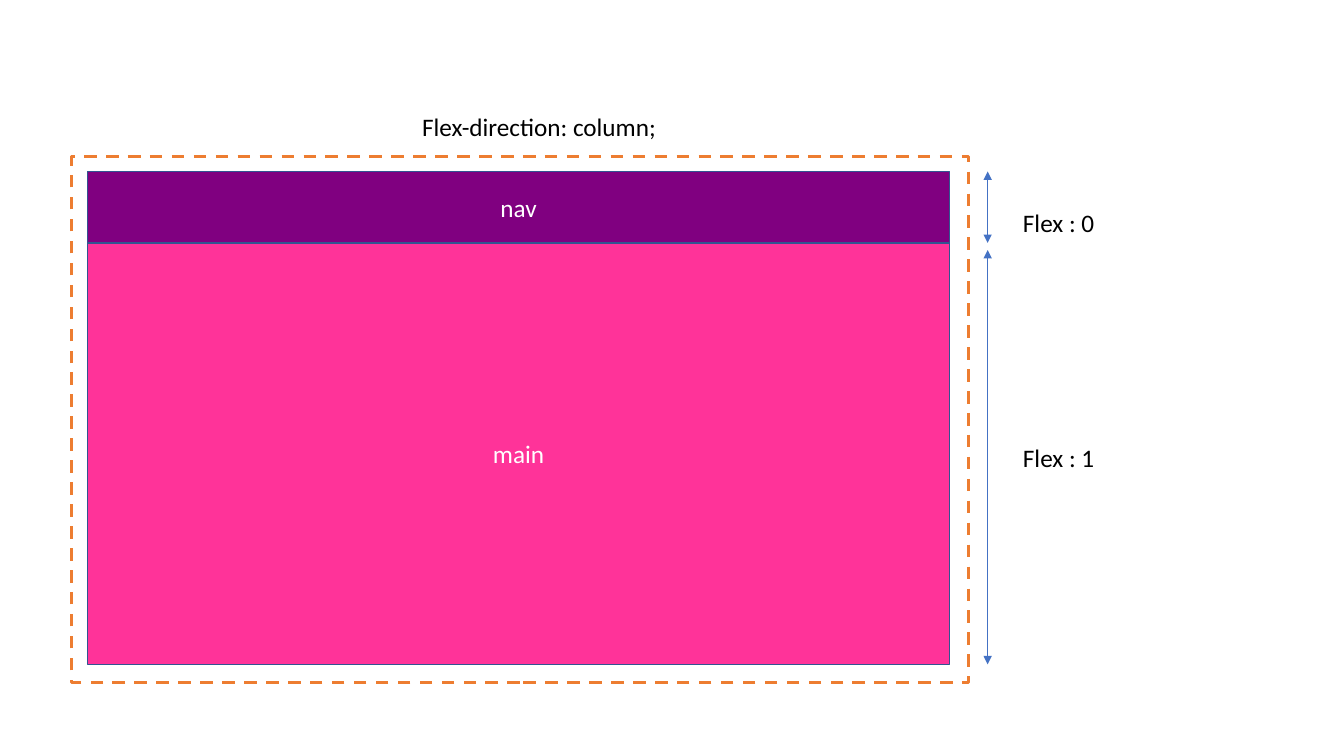
"""Draw a flex column layout with its nav and main areas."""
from lxml import etree
from pptx import Presentation
from pptx.dml.color import RGBColor
from pptx.enum import dml, shapes, text
from pptx.oxml import ns
from pptx.util import Cm, Pt

COLORS = {
    "nav": "800080",
    "main": "FF3399",
    "edge": "325491",
    "container": "ED7D31",
    "arrow": "4472C4",
    "light": "FFFFFF",
    "dark": "000000",
}
FONT = "Calibri"


def color(name):
    """Return the named colour."""
    return RGBColor.from_string(COLORS[name])


def write(sp, words, ink):
    """Put one line of formatted text into a shape."""
    sp.text_frame.text = words
    p = sp.text_frame.paragraphs[0]
    r = p.runs[0]
    r.font.name, r.font.size = FONT, Pt(18)
    r.font.color.rgb = color(ink)
    return p


def add_label(s, words, x, y, w):
    """Add a text box whose top left corner is at x, y."""
    sp = s.shapes.add_textbox(Cm(x), Cm(y), Cm(w), Cm(1.02))
    sp.text_frame.word_wrap = True
    sp.text_frame.auto_size = text.MSO_AUTO_SIZE.SHAPE_TO_FIT_TEXT
    write(sp, words, "dark")


def add_rect(s, x, y, w, h, edge, weight):
    """Add an unfilled outlined rectangle."""
    sp = s.shapes.add_shape(shapes.MSO_SHAPE.RECTANGLE, Cm(x), Cm(y), Cm(w), Cm(h))
    sp.shadow.inherit = False
    sp.fill.background()
    sp.line.color.rgb = color(edge)
    sp.line.width = Pt(weight)
    return sp


def add_area(s, name, x, y, w, h):
    """Add a filled area carrying its own name."""
    sp = add_rect(s, x, y, w, h, "edge", 1)
    sp.fill.solid()
    sp.fill.fore_color.rgb = color(name)
    sp.text_frame.vertical_anchor = text.MSO_ANCHOR.MIDDLE
    write(sp, name, "light").alignment = text.PP_ALIGN.CENTER


def add_extent(s, x, top, bottom):
    """Add a vertical arrow with a head at both ends."""
    c = s.shapes.add_connector(
        shapes.MSO_CONNECTOR.STRAIGHT, Cm(x), Cm(top), Cm(x), Cm(bottom))
    c.line.color.rgb = color("arrow")
    c.line.width = Pt(0.5)
    ln = c.line._get_or_add_ln()
    for end in ("a:headEnd", "a:tailEnd"):
        etree.SubElement(ln, ns.qn(end), type="triangle")
    etree.SubElement(c._element.spPr, ns.qn("a:effectLst"))


def add_column(s, x, y, w, h):
    """Add the dashed container with its areas and heading."""
    left, top, width = x + 0.41, y + 0.38, w - 0.89
    nav_h, main_h = 1.8, h - 2.64
    add_area(s, "main", left, top + nav_h, width, main_h)
    add_area(s, "nav", left, top, width, nav_h)
    add_label(s, "Flex-direction: column;", x + 8.59, y - 1.27, 7.19)
    sp = add_rect(s, x, y, w, h, "container", 2.25)
    sp.line.dash_style = dml.MSO_LINE.DASH


def add_extents(s, x, y, h):
    """Add the arrows and flex values beside the areas."""
    nav_bottom = y + 1.8
    add_extent(s, x, y, nav_bottom)
    add_extent(s, x, nav_bottom + 0.18, y + h)
    for flex, offset in enumerate((0.79, 6.7)):
        add_label(s, f"Flex : {flex}", x + 0.64, y + offset, 3.56)


def main():
    """Build and save the slide."""
    prs = Presentation()
    prs.slide_width, prs.slide_height = Cm(33.87), Cm(19.05)
    s = prs.slides.add_slide(prs.slide_layouts[6])
    add_column(s, 1.8, 3.94, 22.61, 13.26)
    add_extents(s, 24.89, 4.32, 12.42)
    prs.save("out.pptx")


if __name__ == "__main__":
    main()
